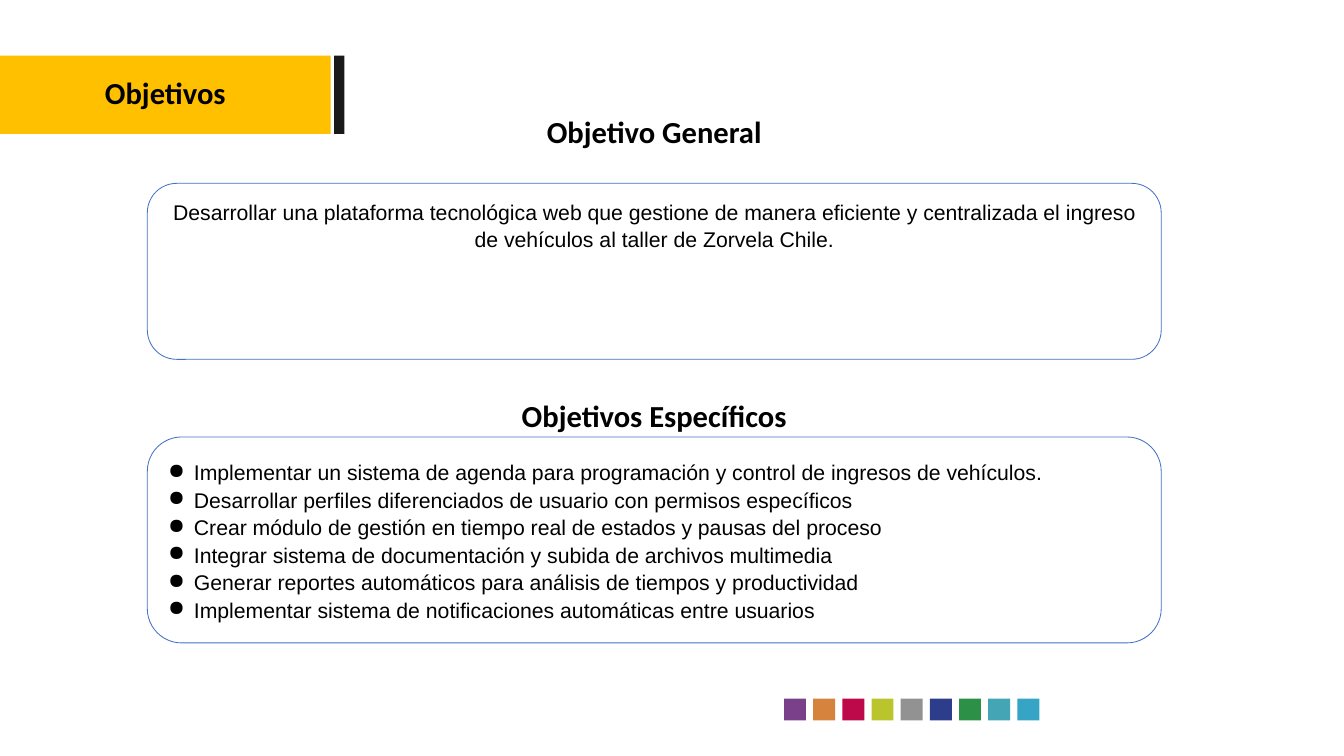
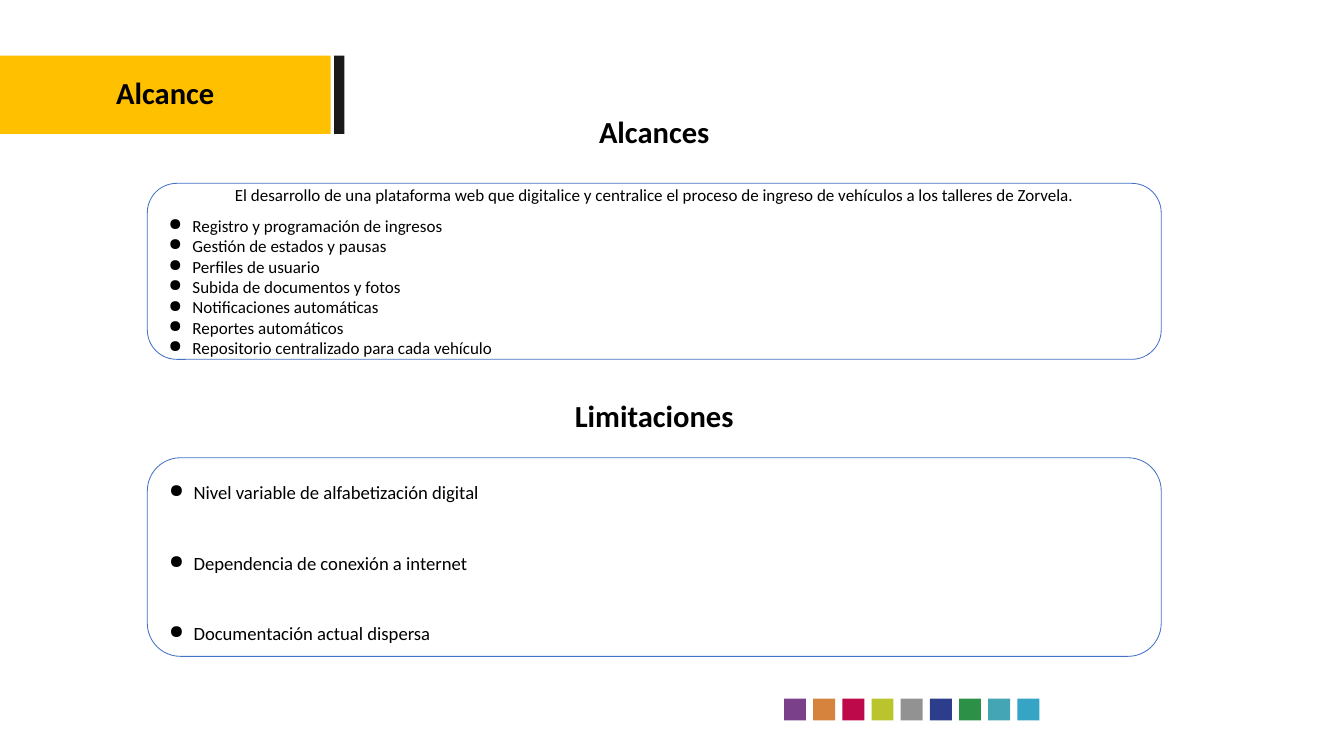
import lxml.etree
import pptx
import pptx.dml.color
import pptx.enum.shapes
import pptx.enum.text
import pptx.oxml.ns
import pptx.util

SLIDE_WIDTH = pptx.util.Inches(21.99)
SLIDE_HEIGHT = pptx.util.Inches(12.37)
TITLE_ONLY = 5

BLACK, WHITE = "000000", "FFFFFF"
BAND_YELLOW, BAR_BLACK, PANEL_BLUE = "FFC000", "1A1A1A", "4472C4"
SQUARE_COLOURS = ("7B408A", "D6843D", "BD0949", "BAC52E", "929292",
                  "2C3E8B", "2C9146", "44A6B5", "35A4C5")

HEADING_FONT = "Calibri"
HEADING_SIZE = 36
BAND_TOP, BAND_HEIGHT = 7.36, 10.35
UPPER_HEADING, LOWER_HEADING = 14.55, 52.14
UPPER_PANEL = (24.25, 23.28)

SHAPE = pptx.enum.shapes.MSO_SHAPE
ALIGN = pptx.enum.text.PP_ALIGN
ANCHOR = pptx.enum.text.MSO_ANCHOR


def colour(hex_string):
    return pptx.dml.color.RGBColor.from_string(hex_string)


def area(left, top, width, height):
    """Turn percentages of the slide into lengths."""
    return (round(SLIDE_WIDTH * left / 100), round(SLIDE_HEIGHT * top / 100),
            round(SLIDE_WIDTH * width / 100), round(SLIDE_HEIGHT * height / 100))


def paint(shape, hex_string):
    shape.fill.solid()
    shape.fill.fore_color.rgb = colour(hex_string)


def add_block(slide, kind, place, fill, line=None):
    block = slide.shapes.add_shape(kind, *area(*place))
    block.shadow.inherit = False
    paint(block, fill)
    if line:
        block.line.color.rgb = colour(line)
        block.line.width = pptx.util.Pt(1)
    else:
        block.line.fill.background()
    return block


def write(para, text, font, size, bold=False, align=ALIGN.LEFT):
    para.alignment = align
    span = para.add_run()
    span.text = text
    span.font.name = font
    span.font.size = pptx.util.Pt(size)
    span.font.bold = bold
    span.font.color.rgb = colour(BLACK)


def add_bullet(para, hanging):
    properties = para._p.get_or_add_pPr()
    properties.set("marL", str(pptx.util.Inches(0.5)))
    properties.set("indent", str(-pptx.util.Inches(hanging)))
    name = pptx.oxml.ns.qn
    bullet_colour = lxml.etree.SubElement(properties, name("a:buClr"))
    lxml.etree.SubElement(bullet_colour, name("a:srgbClr"), val=BLACK)
    lxml.etree.SubElement(properties, name("a:buChar"), char="●")


def format_title(slide, text):
    """Make the title placeholder the yellow band."""
    title = slide.shapes.title
    title.left, title.top, title.width, title.height = area(
        0, BAND_TOP, 24.6, BAND_HEIGHT)
    paint(title, BAND_YELLOW)
    frame = title.text_frame
    frame.auto_size = pptx.enum.text.MSO_AUTO_SIZE.NONE
    frame.vertical_anchor = ANCHOR.MIDDLE
    frame.margin_left = frame.margin_right = frame.margin_top = 0
    frame.margin_bottom = pptx.util.Inches(0.09)
    write(frame.paragraphs[0], text, HEADING_FONT, HEADING_SIZE, True, ALIGN.CENTER)


def add_branded_slide(deck, title):
    slide = deck.slides.add_slide(deck.slide_layouts[TITLE_ONLY])
    format_title(slide, title)
    add_block(slide, SHAPE.RECTANGLE, (24.87, BAND_TOP, 0.75, BAND_HEIGHT), BAR_BLACK)
    for index, fill in enumerate(SQUARE_COLOURS):
        add_block(slide, SHAPE.RECTANGLE, (58.34 + 2.17 * index, 92.4, 1.63, 2.9), fill)
    return slide


def add_heading(slide, top, text):
    box = slide.shapes.add_textbox(*area(6.73, top, 83.9, 5.74))
    box.text_frame.word_wrap = True
    write(box.text_frame.paragraphs[0], text, HEADING_FONT, HEADING_SIZE,
          True, ALIGN.CENTER)


def add_panel(slide, rows, font, size, lead=None, bullets=(), hanging=0.4,
              line_spacing=1.0, lead_gap=0, bullet_gap=0,
              anchor=ANCHOR.MIDDLE, top_inset=0.05):
    """Rounded panel with an optional centred lead line above its bullets."""
    top, height = rows
    panel = add_block(slide, SHAPE.ROUNDED_RECTANGLE, (10.96, top, 75.44, height),
                      WHITE, PANEL_BLUE)
    frame = panel.text_frame
    frame.word_wrap = True
    frame.vertical_anchor = anchor
    frame.margin_top = pptx.util.Inches(top_inset)
    lines = ([lead] if lead else []) + list(bullets)
    for index, text in enumerate(lines):
        para = frame.add_paragraph() if index else frame.paragraphs[0]
        para.line_spacing = line_spacing
        if lead and index == 0:
            para.space_after = pptx.util.Pt(lead_gap)
            write(para, text, font, size, align=ALIGN.CENTER)
        else:
            para.space_before = pptx.util.Pt(bullet_gap if index else 0)
            write(para, text, font, size)
            add_bullet(para, hanging)


def add_objectives(deck):
    slide = add_branded_slide(deck, "Objetivos")
    add_heading(slide, UPPER_HEADING, "Objetivo General")
    add_heading(slide, LOWER_HEADING, "Objetivos Específicos")
    add_panel(slide, UPPER_PANEL, "Arial", 25, line_spacing=1.08,
              anchor=ANCHOR.TOP, top_inset=0.08,
              lead="Desarrollar una plataforma tecnológica web que gestione de manera "
                   "eficiente y centralizada el ingreso de vehículos al taller de "
                   "Zorvela Chile.")
    add_panel(slide, (57.8, 27.24), "Arial", 25, line_spacing=1.08, hanging=0.42, bullets=(
        "Implementar un sistema de agenda para programación y control de ingresos de vehículos.",
        "Desarrollar perfiles diferenciados de usuario con permisos específicos",
        "Crear módulo de gestión en tiempo real de estados y pausas del proceso",
        "Integrar sistema de documentación y subida de archivos multimedia",
        "Generar reportes automáticos para análisis de tiempos y productividad",
        "Implementar sistema de notificaciones automáticas entre usuarios",
    ))


def add_scope(deck):
    slide = add_branded_slide(deck, "Alcance")
    add_heading(slide, UPPER_HEADING, "Alcances")
    add_heading(slide, LOWER_HEADING, "Limitaciones")
    add_panel(slide, UPPER_PANEL, "Calibri", 20, hanging=0.39, lead_gap=12,
              lead="El desarrollo de una plataforma web que digitalice y centralice el "
                   "proceso de ingreso de vehículos a los talleres de Zorvela.",
              bullets=(
                  "Registro y programación de ingresos",
                  "Gestión de estados y pausas",
                  "Perfiles de usuario",
                  "Subida de documentos y fotos",
                  "Notificaciones automáticas",
                  "Reportes automáticos",
                  "Repositorio centralizado para cada vehículo",
              ))
    add_panel(slide, (60.55, 26.27), "Calibri", 22, line_spacing=1.15,
              bullet_gap=53, top_inset=0.18, bullets=(
                  "Nivel variable de alfabetización digital",
                  "Dependencia de conexión a internet",
                  "Documentación actual dispersa",
              ))


def main():
    deck = pptx.Presentation()
    deck.slide_width, deck.slide_height = SLIDE_WIDTH, SLIDE_HEIGHT
    add_objectives(deck)
    add_scope(deck)
    deck.save("out.pptx")


if __name__ == "__main__":
    main()
